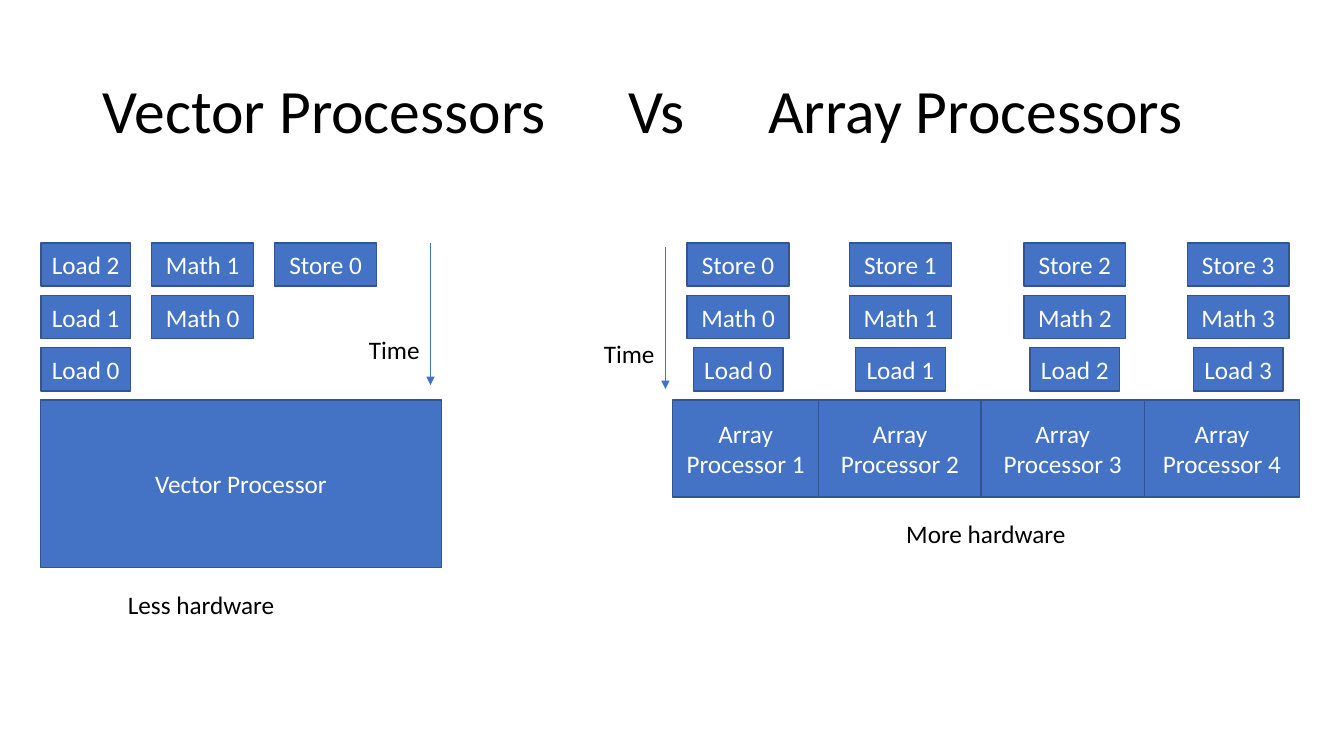
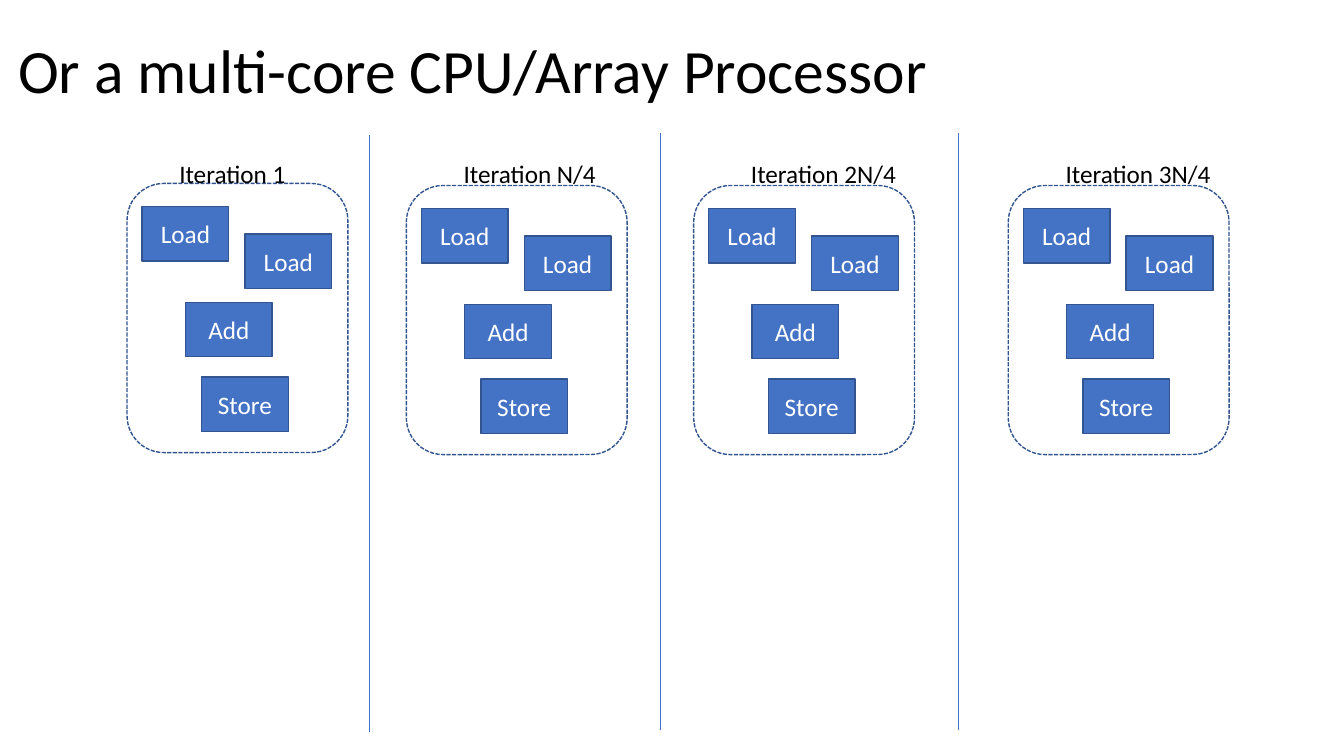
from dataclasses import dataclass

from lxml import etree
from pptx import Presentation
from pptx import util as u
from pptx.dml.color import RGBColor
from pptx.enum import dml, shapes, text
from pptx.oxml.ns import qn


@dataclass(frozen=True)
class Theme:
    font: str = "Calibri"
    fill: str = "4472C4"
    edge: str = "325491"
    dark: str = "000000"
    light: str = "FFFFFF"
    title: int = 44
    body: int = 18
    border: float = 1
    rule: float = 0.5


THEME = Theme()

# Slide 1: each stack is (centre, labels from the top down)
VERSUS = "Vector Processors\tVs\tArray Processors"
TABS = (5.21, 6.6)
WIDTHS = {"Load": 0.89, "Math": 1.01, "Store": 1.01}
VECTOR = [
    (0.85, ["Load 2", "Load 1", "Load 0"]),
    (2.01, ["Math 1", "Math 0"]),
    (3.23, ["Store 0"]),
]
CENTRES = [7.32, 8.93, 10.66, 12.28]
ARRAY = [
    (mid, [f"{op} {n}" for op in ("Store", "Math", "Load")])
    for n, mid in enumerate(CENTRES)
]
EDGES = [6.67, 8.12, 9.73, 11.35, 12.89]
TIMES = [(4.27, 2.41), (6.6, 2.45)]
NOTES = [("Less hardware", 1.17, 5.8, 1.67), ("More hardware", 8.89, 5.09, 1.8)]
TOP, STEP, HIGH, BASE = 2.41, 0.52, 0.43, 3.97

# Slide 2: each core is (label, label left, label width, frame left, frame top)
MULTI = "Or a multi-core CPU/Array Processor"
CORES = [
    ("Iteration 1", 1.68, 1.27, 1.26, 1.82),
    ("Iteration N/4", 4.5, 1.53, 4.03, 1.84),
    ("Iteration 2N/4", 7.35, 1.66, 6.88, 1.84),
    ("Iteration 3N/4", 10.47, 1.66, 10, 1.84),
]
STEPS = [("Load", 1.17, 0.5), ("Load", 0.15, 0.23),
         ("Add", 0.58, 1.18), ("Store", 0.74, 1.92)]
RULES = [(3.66, 1.34), (6.55, 1.32), (9.51, 1.32)]


def inch(*sizes):
    return [u.Inches(size) for size in sizes]


def apply(item, **values):
    for name, value in values.items():
        setattr(item, name, value)


def write(frame, words, size, color, align):
    frame.text = words
    para = frame.paragraphs[0]
    para.alignment = align
    font = para.runs[0].font
    apply(font, name=THEME.font, size=u.Pt(size))
    font.color.rgb = RGBColor.from_string(color)
    return para


def stroke(line, color, width):
    line.color.rgb = RGBColor.from_string(color)
    line.width = u.Pt(width)


def head(deck, words, left, top, tabs=()):
    """Add a title-only slide; tabs are stops in inches from the text edge."""
    slide = deck.slides.add_slide(deck.slide_layouts[5])
    title = slide.shapes.title
    left, top, width, height = inch(left, top, 11.5, 1.45)
    apply(title, left=left, top=top, width=width, height=height)
    apply(title.text_frame, word_wrap=True, auto_size=text.MSO_AUTO_SIZE.NONE,
          vertical_anchor=text.MSO_ANCHOR.MIDDLE)
    para = write(title.text_frame, words, THEME.title, THEME.dark, text.PP_ALIGN.LEFT)
    para.line_spacing = 0.9
    if tabs:
        stops = etree.SubElement(para._p.get_or_add_pPr(), qn("a:tabLst"))
        for stop in tabs:
            etree.SubElement(stops, qn("a:tab"), pos=str(u.Inches(stop)), algn="l")
    return slide


def box(slide, words, *place):
    item = slide.shapes.add_shape(shapes.MSO_SHAPE.RECTANGLE, *inch(*place))
    item.shadow.inherit = False
    item.fill.solid()
    item.fill.fore_color.rgb = RGBColor.from_string(THEME.fill)
    stroke(item.line, THEME.edge, THEME.border)
    apply(item.text_frame, word_wrap=True, vertical_anchor=text.MSO_ANCHOR.MIDDLE)
    write(item.text_frame, words, THEME.body, THEME.light, text.PP_ALIGN.CENTER)


def frame(slide, *place):
    item = slide.shapes.add_shape(shapes.MSO_SHAPE.ROUNDED_RECTANGLE, *inch(*place))
    item.shadow.inherit = False
    item.fill.background()
    stroke(item.line, THEME.edge, THEME.border)
    item.line.dash_style = dml.MSO_LINE.SQUARE_DOT


def label(slide, words, left, top, width):
    item = slide.shapes.add_textbox(*inch(left, top, width, 0.4))
    apply(item.text_frame, word_wrap=False,
          auto_size=text.MSO_AUTO_SIZE.SHAPE_TO_FIT_TEXT)
    write(item.text_frame, words, THEME.body, THEME.dark, text.PP_ALIGN.LEFT)


def drop(slide, left, top, length, arrow=False):
    """Draw a vertical line downwards."""
    item = slide.shapes.add_connector(
        shapes.MSO_CONNECTOR.STRAIGHT, *inch(left, top, left, top + length))
    stroke(item.line, THEME.fill, THEME.rule)
    if arrow:
        etree.SubElement(item.line._get_or_add_ln(), qn("a:tailEnd"), type="triangle")
    etree.SubElement(item._element.spPr, qn("a:effectLst"))


def versus(deck):
    slide = head(deck, VERSUS, 0.92, 0.4, TABS)
    box(slide, "Vector Processor", 0.4, BASE, 3.98, 1.66)
    for n, (left, right) in enumerate(zip(EDGES, EDGES[1:]), 1):
        box(slide, f"Array Processor {n}", left, BASE, right - left, 0.96)
    for mid, names in VECTOR + ARRAY:
        for row, name in enumerate(names):
            width = WIDTHS[name.split()[0]]
            box(slide, name, mid - width / 2, TOP + row * STEP, width, HIGH)
    for left, top in TIMES:
        drop(slide, left, top, 1.41, arrow=True)
        label(slide, "Time", left - 0.71, top + 0.86, 0.71)
    for note in NOTES:
        label(slide, *note)


def multi(deck):
    slide = head(deck, MULTI, 0.08, 0)
    for name, start, width, left, top in CORES:
        frame(slide, left, top, 2.19, 2.67)
        for step, right, down in STEPS:
            box(slide, step, left + right, top + down, 0.86, 0.54)
        label(slide, name, start, 1.52, width)
    for left, top in RULES:
        drop(slide, left, top, 5.92)


def main():
    deck = Presentation()
    wide, high = inch(13.33, 7.5)
    apply(deck, slide_width=wide, slide_height=high)
    versus(deck)
    multi(deck)
    deck.save("out.pptx")


if __name__ == "__main__":
    main()
